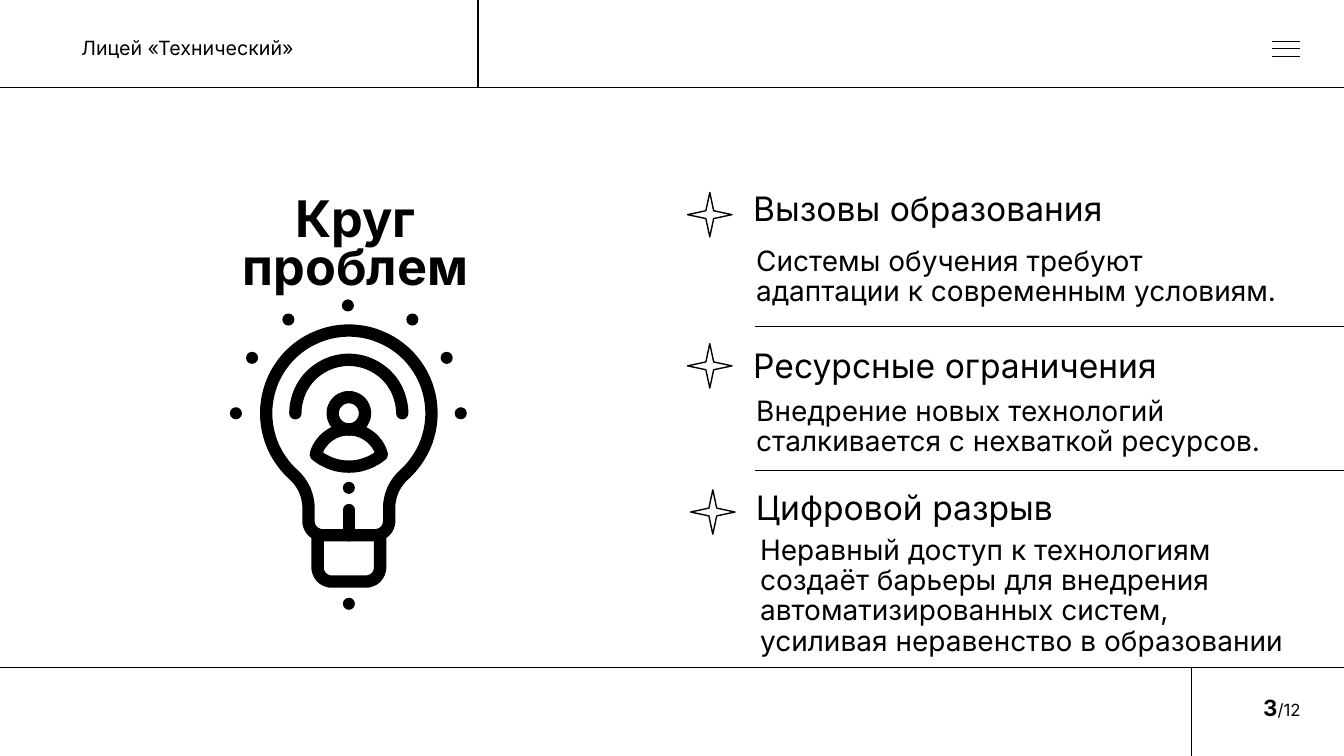
from dataclasses import dataclass
from math import cos, radians, sin

from lxml import etree
from pptx import Presentation
from pptx import util as u
from pptx.dml.color import RGBColor
from pptx.enum import shapes as sh, text as tx
from pptx.oxml.ns import qn

INK = {"black": "000000", "white": "FFFFFF"}
FONT = "Inter"
WIDE, HIGH = 13.33, 7.5
STROKE = 8.8  # points, bulb drawing
GRAIN = 1000  # path units per inch
MID, AXIS = 3.46, 4.1  # centre of the bulb

Spot = tuple[float, float]
Box = tuple[float, float, float, float]


@dataclass
class Topic:
    head: str
    note: str
    star: Spot
    head_box: Box
    note_box: Box


@dataclass
class Rule:
    start: Spot
    end: Spot
    weight: float = 1


TOPICS = [
    Topic("Вызовы образования",
          "Системы обучения требуют адаптации к современным условиям.",
          (6.82, 1.91), (7.37, 1.86, 5.3, 0.5), (7.4, 2.4, 5.54, 0.71)),
    Topic("Ресурсные ограничения",
          "Внедрение новых технологий сталкивается с нехваткой ресурсов.",
          (6.82, 3.41), (7.37, 3.42, 5.3, 0.5), (7.4, 3.89, 5.3, 0.98)),
    Topic("Цифровой разрыв",
          "Неравный доступ к технологиям создаёт барьеры для внедрения "
          "автоматизированных систем, усиливая неравенство в образовании",
          (6.85, 4.86), (7.4, 4.83, 5.3, 0.5), (7.44, 5.27, 5.44, 1.23)),
]
RULES = [
    *(Rule((12.62, y), (12.89, y)) for y in (0.41, 0.48, 0.56)),
    *(Rule((0, y), (WIDE, y)) for y in (0.87, 6.62)),
    *(Rule((7.49, y), (WIDE, y)) for y in (3.24, 4.67)),
    Rule((4.74, 0), (4.74, 0.87)),
    Rule((11.82, 6.62), (11.82, HIGH)),
]
STEM = Rule((MID, 5.31), (MID, 5.06), STROKE)
DOTS = [(3.46, 5.99), (3.46, 4.84), (2.34, 4.1), (4.57, 4.1), (4.43, 3.55),
        (4.09, 3.17), (3.45, 3.03), (2.86, 3.17), (2.5, 3.55)]


def color(name: str) -> RGBColor:
    return RGBColor.from_string(INK[name])


def place(shape, box: Box) -> None:
    shape.left, shape.top, shape.width, shape.height = map(u.Inches, box)


def write(shape, words: str, size: float, bold: bool = False,
          space: float = 0.9, align=tx.PP_ALIGN.LEFT,
          anchor=tx.MSO_ANCHOR.TOP):
    """Fill a text shape with one unbulleted paragraph and return it."""
    frame = shape.text_frame
    frame.word_wrap = True
    frame.auto_size = tx.MSO_AUTO_SIZE.NONE
    frame.vertical_anchor = anchor
    par = frame.paragraphs[0]
    par.text = words
    par.alignment, par.line_spacing = align, space
    par.space_before = u.Pt(0)
    font = par.font
    font.name, font.size, font.bold = FONT, u.Pt(size), bold
    font.color.rgb = color("black")
    props = par._p.get_or_add_pPr()
    props.set("marL", "0")
    props.set("indent", "0")
    props.insert_element_before(
        etree.Element(qn("a:buNone")), "a:tabLst", "a:defRPr", "a:extLst")
    return par


def label(slide, box: Box):
    return slide.shapes.add_textbox(*map(u.Inches, box))


def ink_line(shape, weight: float) -> None:
    """Give a black line with round ends and corners."""
    shape.line.color.rgb = color("black")
    shape.line.width = u.Pt(weight)
    edge = shape.line._get_or_add_ln()
    edge.set("cap", "rnd" if weight == STROKE else "flat")
    etree.SubElement(edge, qn("a:round"))


def draw_rule(slide, rule: Rule) -> None:
    line = slide.shapes.add_connector(
        sh.MSO_CONNECTOR.STRAIGHT,
        *map(u.Inches, (*rule.start, *rule.end)))
    ink_line(line, rule.weight)
    etree.SubElement(line._element.spPr, qn("a:effectLst"))


def draw_star(slide, spot: Spot) -> None:
    star = slide.shapes.add_shape(
        sh.MSO_SHAPE.STAR_4_POINT, *map(u.Inches, (*spot, 0.44, 0.44)))
    star.shadow.inherit = False
    star.fill.background()
    star.line.color.rgb = color("black")
    star.line.width = u.Pt(1)


def draw_dot(slide, spot: Spot) -> None:
    size = 0.12
    x, y = (side - size / 2 for side in spot)
    dot = slide.shapes.add_shape(
        sh.MSO_SHAPE.OVAL, *map(u.Inches, (x, y, size, size)))
    dot.shadow.inherit = False
    dot.fill.solid()
    dot.fill.fore_color.rgb = color("black")
    dot.line.fill.background()


def arc(x: float, y: float, r: float, first: int, last: int) -> list[Spot]:
    """Points on a circle; degrees run clockwise from the right."""
    steps = max(abs(last - first) // 4, 1)
    turns = (radians(first + (last - first) * i / steps)
             for i in range(steps + 1))
    return [(x + r * cos(t), y + r * sin(t)) for t in turns]


def draw_path(slide, spots: list[Spot], close: bool) -> None:
    first, *rest = [(round(x * GRAIN), round(y * GRAIN)) for x, y in spots]
    pen = slide.shapes.build_freeform(*first, scale=u.Inches(1) / GRAIN)
    pen.add_line_segments(rest, close=close)
    path = pen.convert_to_shape()
    path.shadow.inherit = False
    path.fill.background()
    ink_line(path, STROKE)


def draw_bulb(slide) -> None:
    glass = [*arc(MID, AXIS, 0.82, 132, 408),
             *arc(4.3, 5.04, 0.44, 228, 180),
             *arc(3.72, 5.17, 0.14, 0, 90),
             *arc(3.2, 5.17, 0.14, 90, 180),
             *arc(2.62, 5.04, 0.44, 0, -48)]
    base = [(3.15, 5.31), *arc(3.29, 5.63, 0.14, 180, 90),
            *arc(3.63, 5.63, 0.14, 90, 0), (3.77, 5.31)]
    body = [*arc(MID, 4.6, 0.34, 195, 345), *arc(MID, 4.12, 0.51, 50, 130)]
    draw_path(slide, glass, True)
    draw_path(slide, base, False)
    draw_path(slide, arc(MID, AXIS, 0.53, 180, 360), False)
    draw_path(slide, arc(MID, AXIS, 0.16, 0, 360), True)
    draw_path(slide, body, True)
    draw_rule(slide, STEM)
    for spot in DOTS:
        draw_dot(slide, spot)


def main() -> None:
    deck = Presentation()
    deck.slide_width, deck.slide_height = u.Inches(WIDE), u.Inches(HIGH)
    slide = deck.slides.add_slide(deck.slide_layouts.get_by_name("Comparison"))
    slide.background.fill.solid()
    slide.background.fill.fore_color.rgb = color("white")

    title, *slots = slide.placeholders
    place(title, (1.94, 1.91, 3.17, 1.08))
    write(title, "Круг проблем", 36, True, 0.8, tx.PP_ALIGN.CENTER,
          tx.MSO_ANCHOR.MIDDLE)
    write(label(slide, (0.71, 0.31, 3, 0.34)), "Лицей «Технический»", 14,
          space=1)
    page = write(label(slide, (10, 6.82, 3, 0.4)), "3", 16, True, 1,
                 tx.PP_ALIGN.RIGHT, tx.MSO_ANCHOR.MIDDLE)
    total = page.add_run()
    total.text = "/12"
    total.font.size, total.font.bold = u.Pt(12), False

    for rule in RULES:
        draw_rule(slide, rule)
    for topic in TOPICS:
        draw_star(slide, topic.star)
        for words, box, size in ((topic.head, topic.head_box, 24),
                                 (topic.note, topic.note_box, 20)):
            shape = slots.pop(0) if slots else label(slide, box)
            place(shape, box)
            write(shape, words, size)
    draw_bulb(slide)
    deck.save("out.pptx")


if __name__ == "__main__":
    main()
